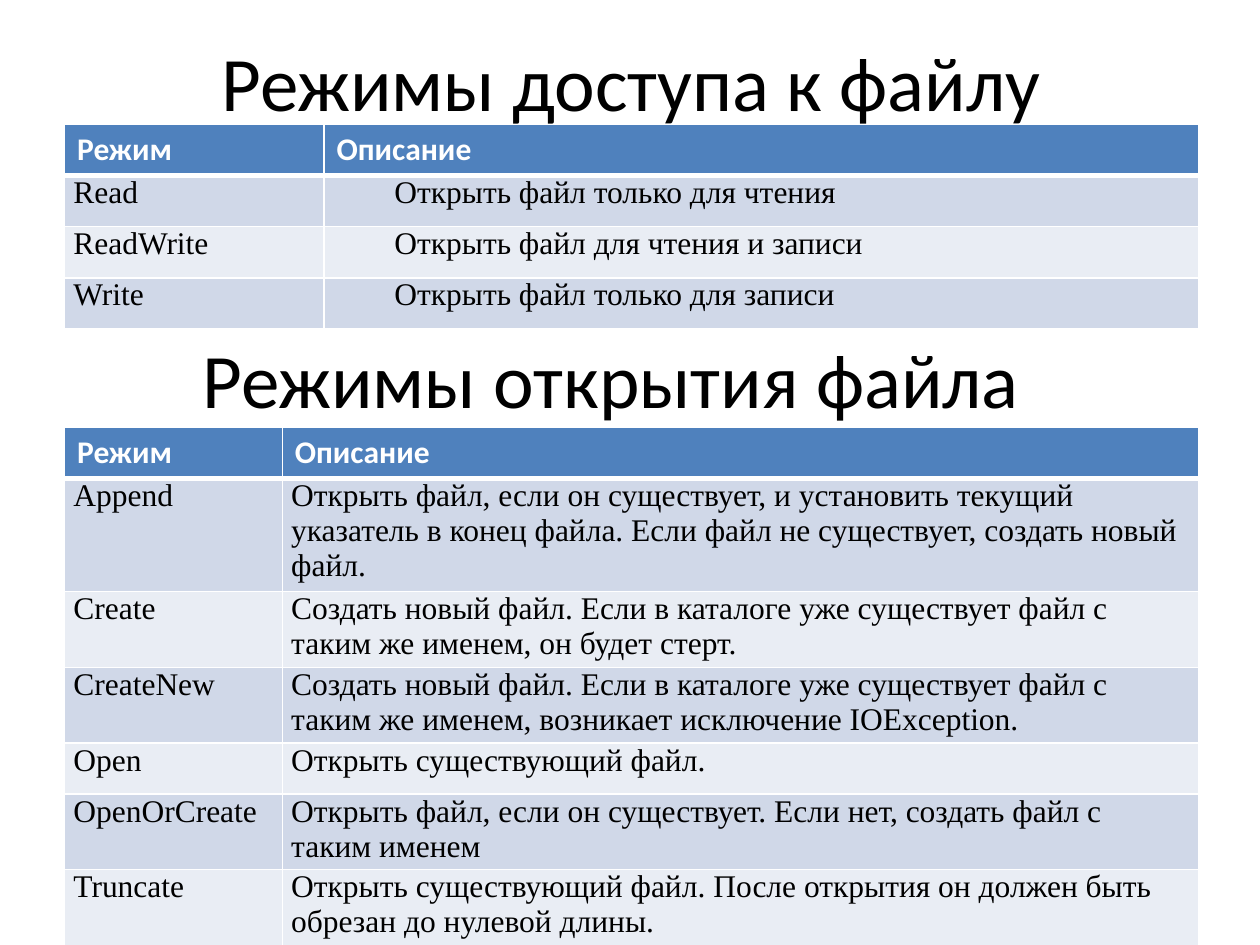
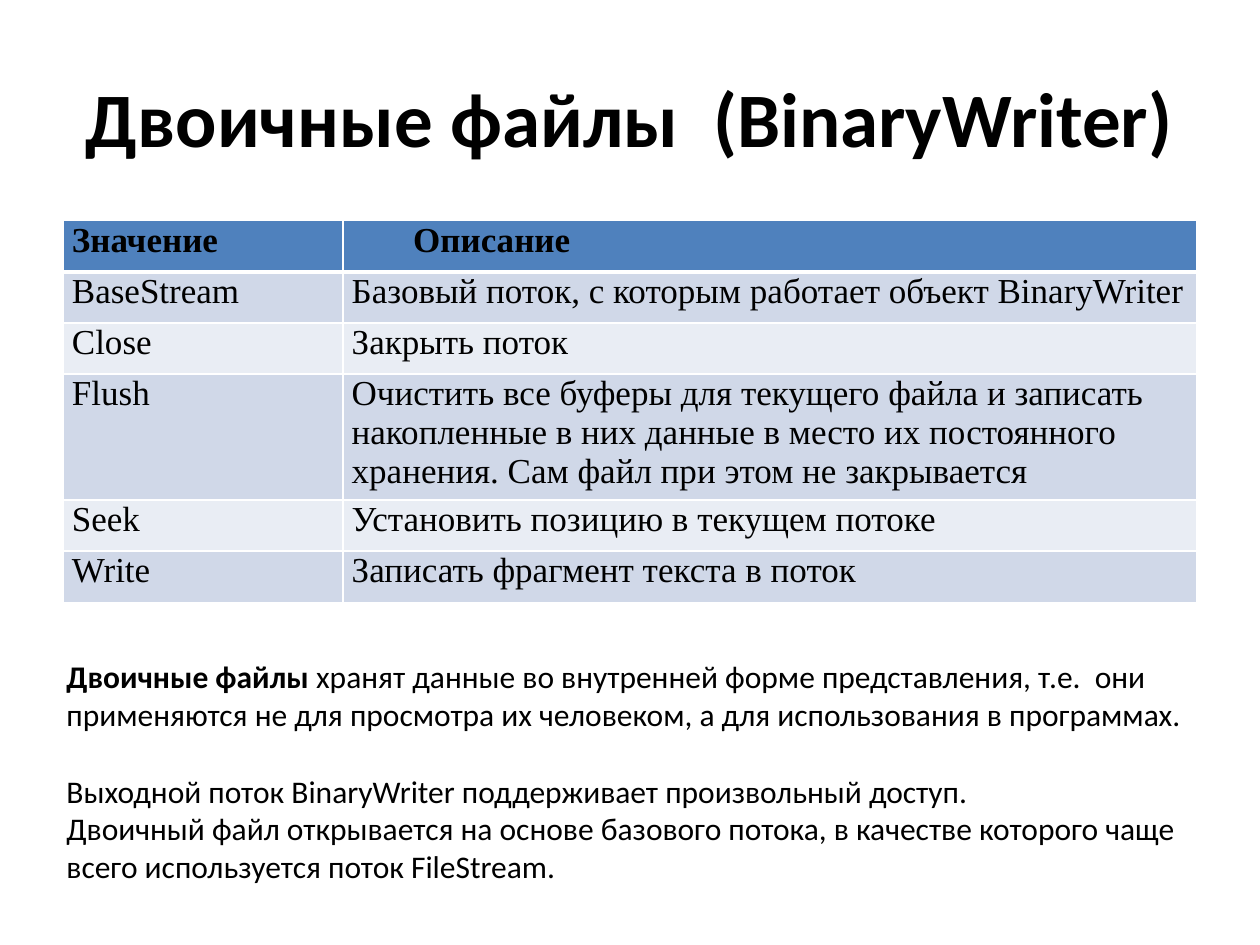
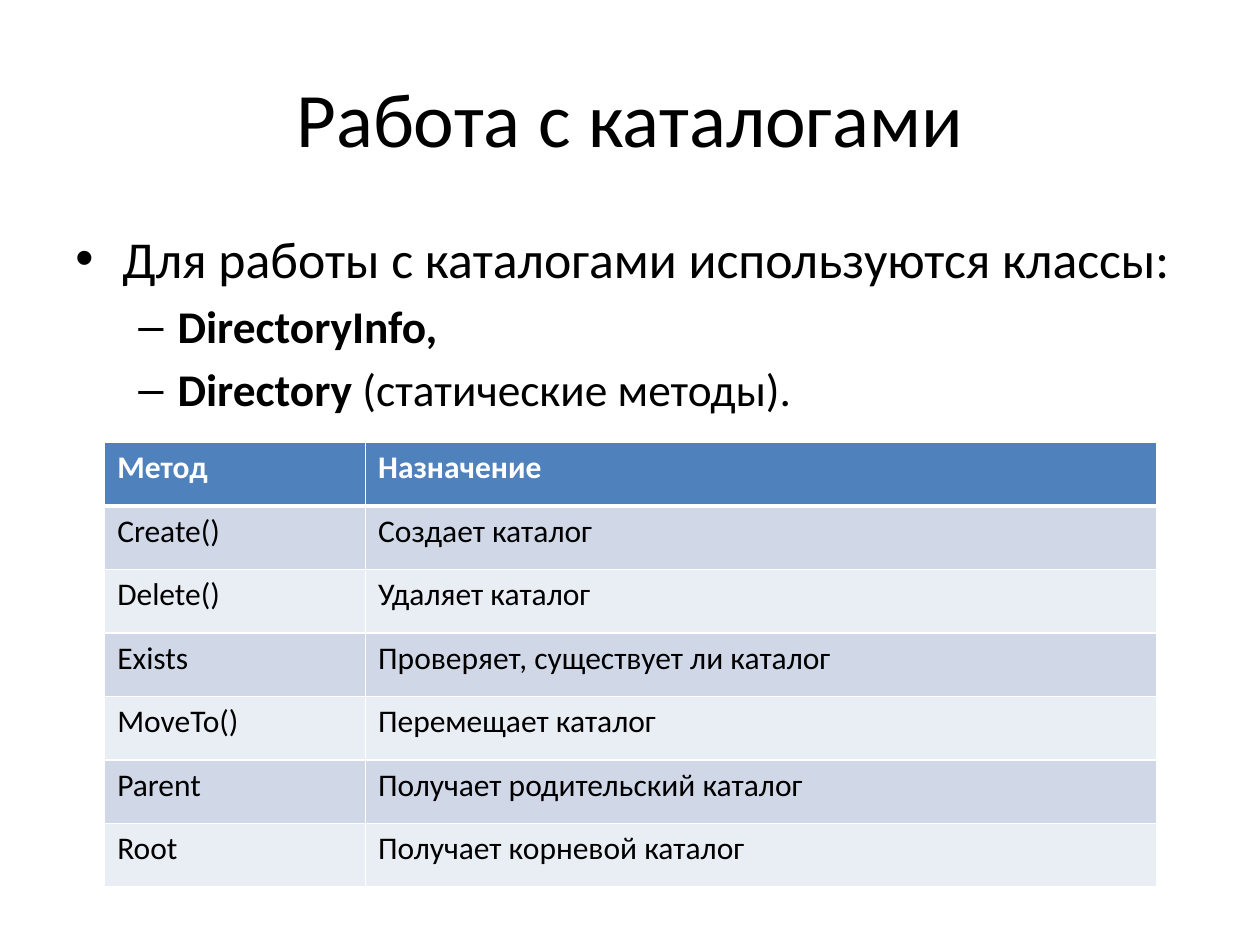
"""Build three slides about file modes, binary files and directories."""
from lxml import etree
from pptx import Presentation
from pptx import util as u
from pptx.dml import color as dml
from pptx.enum import text as t
from pptx.oxml import ns

COLORS = {"ink": "000000", "paper": "FFFFFF", "header": "4F81BD",
          "band_dark": "D0D8E8", "band_light": "E9EDF4"}
SANS, SERIF = "Calibri", "Times New Roman"
TITLE = dict(size=44, align=t.PP_ALIGN.CENTER)
WHITE_HEAD = dict(color="paper", bold=True)
SERIF_CELL = dict(font=SERIF, before=12)
FIRST_LINE = 1.24


def write(frame, content, lead="", font=SANS, size=18, color="ink", bold=False,
          align=t.PP_ALIGN.LEFT, before=0, left=0, indent=0, bullet=""):
    """Add a paragraph, with an optional bold lead, to a text frame."""
    paragraph = frame.paragraphs[0] if not frame.text else frame.add_paragraph()
    paragraph.alignment = align
    paragraph.space_before = u.Pt(before)
    properties = paragraph._p.get_or_add_pPr()
    properties.set("marL", str(u.Cm(left)))
    properties.set("indent", str(u.Cm(indent)))
    if bullet:
        etree.SubElement(properties, ns.qn("a:buFont"), typeface="Arial")
        etree.SubElement(properties, ns.qn("a:buChar"), char=bullet)
    for words, heavy in ((lead, True), (content, bold)):
        if words:
            run = paragraph.add_run()
            run.text = words
            run.font.name = font
            run.font.size = u.Pt(size)
            run.font.bold = heavy
            run.font.color.rgb = dml.RGBColor.from_string(COLORS[color])


def draw_table(slide, left, top, widths, row_height, rows, head, body, indented=()):
    """Draw a banded table; the descriptions in indented rows start further in."""
    table = slide.shapes.add_table(
        len(rows), len(widths), u.Cm(left), u.Cm(top),
        u.Cm(sum(widths)), u.Cm(row_height * len(rows))).table
    table.horz_banding = False
    for column, width in zip(table.columns, widths):
        column.width = u.Cm(width)
    for r, entries in enumerate(rows):
        table.rows[r].height = u.Cm(row_height)
        style = body if r else head
        band = "header" if r == 0 else "band_dark" if r % 2 else "band_light"
        for c, entry in enumerate(entries):
            cell = table.cell(r, c)
            if style.get("font") == SERIF:
                cell.margin_left = cell.margin_right = u.Cm(0.18)
                cell.margin_top = cell.margin_bottom = 0
            write(cell.text_frame, entry, **style,
                  indent=FIRST_LINE if c and r in indented else 0)
            properties = cell._tc.get_or_add_tcPr()
            for side in "LRTB":
                thick = (r, side) in ((0, "B"), (1, "T"))
                line = etree.SubElement(properties, ns.qn(f"a:ln{side}"),
                                        w=str(u.Pt(3 if thick else 1)))
                paint = etree.SubElement(line, ns.qn("a:solidFill"))
                etree.SubElement(paint, ns.qn("a:srgbClr"), val=COLORS["paper"])
            cell.fill.solid()
            cell.fill.fore_color.rgb = dml.RGBColor.from_string(COLORS[band])


deck = Presentation()
deck.slide_width, deck.slide_height = u.Cm(25.4), u.Cm(19.05)
modes, binary, folders = (deck.slides.add_slide(deck.slide_layouts[6]) for _ in range(3))

title_place = (1.27, 0.76, 22.86, 3.18)
subpoint = dict(size=25.9, before=5.2, left=2.06, indent=-0.79, bullet="–")
passages = [
    (modes, (1.3, 0.53, 22.86, 2.21), [("Режимы доступа к файлу", TITLE)]),
    (modes, (0.89, 6.53, 22.86, 2.18), [("Режимы открытия файла", TITLE)]),
    (binary, title_place, [("Двоичные файлы  (BinaryWriter)", dict(TITLE, bold=True))]),
    (folders, title_place, [("Работа с каталогами", TITLE)]),
    (binary, (1.09, 13.13, 24.31, 5.64), [
        (" хранят данные во внутренней форме представления, т.е.  они применяются не для "
         "просмотра их человеком, а для использования в программах.",
         dict(lead="Двоичные файлы")),
        ("Выходной поток BinaryWriter поддерживает произвольный доступ.", dict(before=22)),
        ("Двоичный файл открывается на основе базового потока, в качестве которого чаще "
         "всего используется поток FileStream.", {}),
    ]),
    (folders, (1.27, 4.45, 22.86, 4.29), [
        ("Для работы с каталогами используются классы:",
         dict(size=29.6, before=5.9, left=0.95, indent=-0.95, bullet="•")),
        ("", dict(subpoint, lead="DirectoryInfo,")),
        ("(статические методы).", dict(subpoint, lead="Directory ")),
    ]),
]
for slide, place, paragraphs in passages:
    frame = slide.shapes.add_textbox(*map(u.Cm, place)).text_frame
    frame.word_wrap = True
    is_title = paragraphs[0][1].get("size") == TITLE["size"]
    frame.vertical_anchor = t.MSO_ANCHOR.MIDDLE if is_title else t.MSO_ANCHOR.TOP
    for content, style in paragraphs:
        write(frame, content, **style)

access_modes = [
    ("Режим", "Описание"),
    ("Read", "Открыть файл только для чтения"),
    ("ReadWrite", "Открыть файл для чтения и записи"),
    ("Write", "Открыть файл только для записи"),
]
draw_table(modes, 1.3, 2.51, (5.23, 17.63), 1.03, access_modes,
           WHITE_HEAD, SERIF_CELL, indented=(1, 2, 3))

open_modes = [
    ("Режим", "Описание"),
    ("Append", "Открыть файл, если он существует, и установить текущий указатель в конец "
               "файла. Если файл не существует, создать новый файл."),
    ("Create", "Создать новый файл. Если в каталоге уже существует файл с таким же именем, "
               "он будет стерт."),
    ("CreateNew", "Создать новый файл. Если в каталоге уже существует файл с таким же "
                  "именем, возникает исключение IOException."),
    ("Open", "Открыть существующий файл."),
    ("OpenOrCreate", "Открыть файл, если он существует. Если нет, создать файл с таким именем"),
    ("Truncate", "Открыть существующий файл. После открытия он должен быть обрезан до "
                 "нулевой длины."),
]
draw_table(modes, 1.3, 8.61, (4.39, 18.47), 1.03, open_modes, WHITE_HEAD, SERIF_CELL)

writer_members = [
    ("Значение", "Описание"),
    ("BaseStream", "Базовый поток, с которым работает объект BinaryWriter"),
    ("Close", "Закрыть поток"),
    ("Flush", "Очистить все буферы для текущего файла и записать накопленные в них данные "
              "в место их постоянного хранения. Сам файл при этом не закрывается"),
    ("Seek", "Установить позицию в текущем потоке"),
    ("Write", "Записать фрагмент текста в поток"),
]
writer_cell = dict(SERIF_CELL, size=20)
draw_table(binary, 1.27, 4.45, (5.64, 17.22), 1.03, writer_members,
           dict(writer_cell, bold=True), writer_cell, indented=(0,))

directory_methods = [
    ("Метод", "Назначение"),
    ("Create()", "Создает каталог"),
    ("Delete()", "Удаляет каталог"),
    ("Exists", "Проверяет, существует ли каталог"),
    ("MoveTo()", "Перемещает каталог"),
    ("Parent", "Получает родительский каталог"),
    ("Root", "Получает корневой каталог"),
]
draw_table(folders, 2.11, 8.92, (5.26, 15.95), 1.28, directory_methods, WHITE_HEAD, {})

deck.save("out.pptx")
